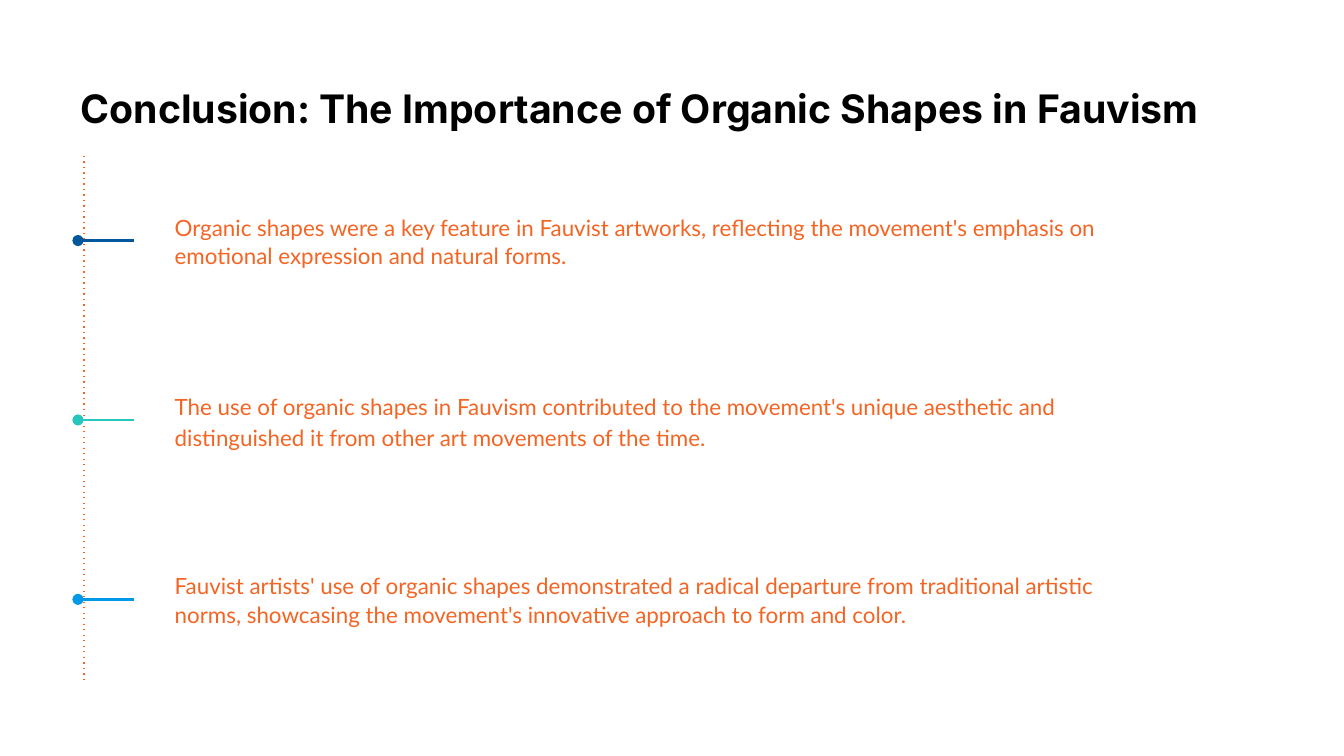
from dataclasses import dataclass

from lxml.etree import SubElement
from pptx import Presentation
from pptx.dml.color import RGBColor
from pptx.enum.shapes import MSO_CONNECTOR
from pptx.enum.text import MSO_ANCHOR, MSO_AUTO_SIZE, PP_ALIGN
from pptx.oxml.ns import qn
from pptx.util import Inches, Pt


@dataclass(frozen=True)
class Theme:
    background: str = "FFFFFF"
    title: str = "000000"
    body: str = "F46524"
    markers: tuple = ("01579B", "27C7BD", "0099E8")
    title_font: str = "Inter"
    body_font: str = "Lato"
    title_size: float = 21
    body_size: float = 12
    rail_width: float = 0.75
    marker_width: float = 1.5


THEME = Theme()
TITLE = "Conclusion: The Importance of Organic Shapes in Fauvism"
POINTS = [
    ("Organic shapes were a key feature in Fauvist artworks, reflecting the "
     "movement's emphasis on emotional expression and natural forms.", 1.05),
    ("The use of organic shapes in Fauvism contributed to the movement's unique "
     "aesthetic and distinguished it from other art movements of the time.", 1.15),
    ("Fauvist artists' use of organic shapes demonstrated a radical departure from "
     "traditional artistic norms, showcasing the movement's innovative approach "
     "to form and color.", 1.05),
]


def write_text(shape, text, *, font, size, color, bold=False,
               line_spacing=1.0, space_after=0, left_inset=0.1):
    frame = shape.text_frame
    frame.word_wrap = True
    frame.auto_size = MSO_AUTO_SIZE.NONE
    frame.vertical_anchor = MSO_ANCHOR.MIDDLE
    frame.margin_left = Inches(left_inset)
    frame.margin_top = frame.margin_right = frame.margin_bottom = Inches(0.1)
    paragraph = frame.paragraphs[0]
    paragraph.alignment = PP_ALIGN.LEFT
    paragraph.line_spacing = line_spacing
    paragraph.space_before = Pt(0)
    paragraph.space_after = Pt(space_after)
    run = paragraph.add_run()
    run.text = text
    run.font.name = font
    run.font.size = Pt(size)
    run.font.bold = bold
    run.font.color.rgb = RGBColor.from_string(color)


def add_line(slide, start, end, *, color, width, dash=None, head=None):
    connector = slide.shapes.add_connector(
        MSO_CONNECTOR.STRAIGHT, *(Inches(value) for value in (*start, *end)))
    connector.line.color.rgb = RGBColor.from_string(color)
    connector.line.width = Pt(width)
    properties = connector._element.spPr
    outline = properties.find(qn("a:ln"))
    if dash:
        SubElement(outline, qn("a:prstDash"), val=dash)
    if head:
        SubElement(outline, qn("a:headEnd"), type=head)
    SubElement(properties, qn("a:effectLst"))


def place_title(slide, left, top, width, height):
    title = slide.shapes.title
    title.left, title.top = Inches(left), Inches(top)
    title.width, title.height = Inches(width), Inches(height)
    write_text(title, TITLE, font=THEME.title_font, size=THEME.title_size,
               color=THEME.title, bold=True)


def place_point(slide, left, top, width, height, text, line_spacing, color):
    text_left = left + 0.42
    middle = top + height / 2
    box = slide.shapes.add_textbox(
        Inches(text_left), Inches(top), Inches(width - 0.42), Inches(height))
    write_text(box, text, font=THEME.body_font, size=THEME.body_size,
               color=THEME.body, line_spacing=line_spacing, space_after=10,
               left_inset=0.3)
    add_line(slide, (left, middle), (text_left, middle), color=color,
             width=THEME.marker_width, head="oval")


def place_timeline(slide, left, top, width, height):
    rail = left + 0.09 / 2
    add_line(slide, (rail, top), (rail, top + height), color=THEME.body,
             width=THEME.rail_width, dash="dot")
    point_height = 1.08
    first_top = top + 0.09
    pitch = (height - 0.17 - point_height) / (len(POINTS) - 1)
    for index, ((text, spacing), color) in enumerate(zip(POINTS, THEME.markers)):
        place_point(slide, left, first_top + index * pitch, width, point_height,
                    text, spacing, color)


def main():
    presentation = Presentation()
    presentation.slide_width = Inches(10)
    presentation.slide_height = presentation.slide_width * 9 // 16
    slide = presentation.slides.add_slide(presentation.slide_layouts[5])
    slide.background.fill.solid()
    slide.background.fill.fore_color.rgb = RGBColor.from_string(THEME.background)
    place_title(slide, 0.5, 0.49, 9, 0.63)
    place_timeline(slide, 0.58, 1.16, 7.92, 3.92)
    presentation.save("out.pptx")


if __name__ == "__main__":
    main()
